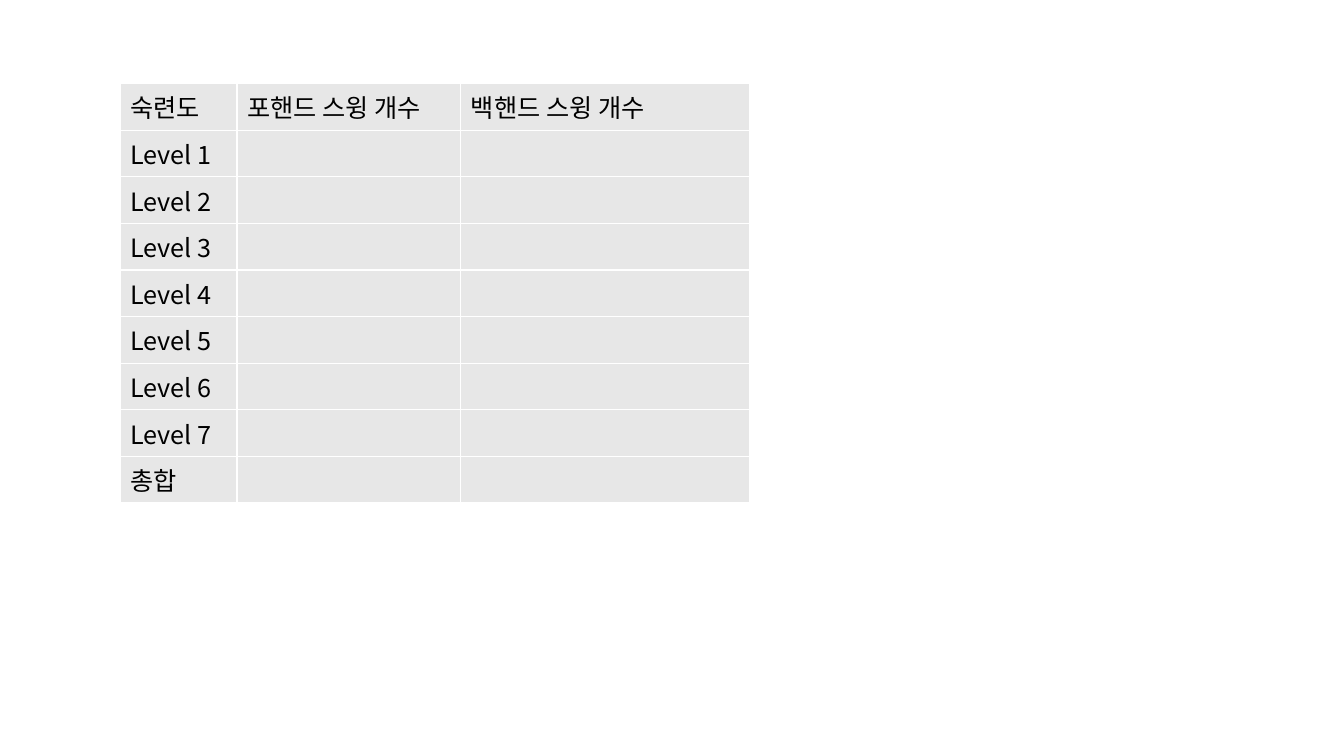
from lxml import etree
from pptx import Presentation
from pptx.dml.color import RGBColor
from pptx.oxml.ns import qn
from pptx.util import Inches, Pt

FONT = "Noto Sans CJK KR"
BLANK_LAYOUT = 6
COLUMN_WIDTHS = [1.16, 2.22, 2.87]
ROW_HEIGHT = 0.41
HEADERS = ["숙련도", "포핸드 스윙 개수", "백핸드 스윙 개수"]
ROWS = [HEADERS] + [[f"Level {n}", "", ""] for n in range(1, 8)] + [["총합", "", ""]]


def rgb(value):
    """Return the colour for a hex string."""
    return RGBColor.from_string(value)


def add_borders(cell, color, points):
    """Draw a solid line on all four sides of a cell."""
    tcPr = cell._tc.get_or_add_tcPr()
    for side in ("a:lnL", "a:lnR", "a:lnT", "a:lnB"):
        line = etree.SubElement(tcPr, qn(side), w=str(Pt(points)))
        fill = etree.SubElement(line, qn("a:solidFill"))
        etree.SubElement(fill, qn("a:srgbClr"), val=color)


def style_run(r):
    """Set the table font on a run, for Latin and Korean letters."""
    r.font.name = FONT
    r.font.size = Pt(18)
    r.font.color.rgb = rgb("000000")
    etree.SubElement(r._r.get_or_add_rPr(), qn("a:ea"), typeface=FONT)


def fill_cell(cell, text):
    """Write a cell's text and set its borders and fill."""
    add_borders(cell, "FFFFFF", 1)
    cell.fill.solid()
    cell.fill.fore_color.rgb = rgb("E7E7E7")
    cell.text_frame.text = text
    for r in cell.text_frame.paragraphs[0].runs:
        style_run(r)


def add_swing_table(s, left, top):
    """Add the table of swing counts by level."""
    width, height = sum(COLUMN_WIDTHS), ROW_HEIGHT * len(ROWS)
    table = s.shapes.add_table(len(ROWS), len(HEADERS), Inches(left), Inches(top),
                               Inches(width), Inches(height)).table
    table.first_row = False
    table.horz_banding = False
    for column, column_width in zip(table.columns, COLUMN_WIDTHS):
        column.width = Inches(column_width)
    for row, texts in zip(table.rows, ROWS):
        row.height = Inches(ROW_HEIGHT)
        for cell, text in zip(row.cells, texts):
            fill_cell(cell, text)


def main():
    """Build the slide and save it."""
    prs = Presentation()
    prs.slide_width = Inches(13.33)
    prs.slide_height = Inches(7.5)
    s = prs.slides.add_slide(prs.slide_layouts[BLANK_LAYOUT])
    add_swing_table(s, 1.19, 0.83)
    prs.save("out.pptx")


if __name__ == "__main__":
    main()
